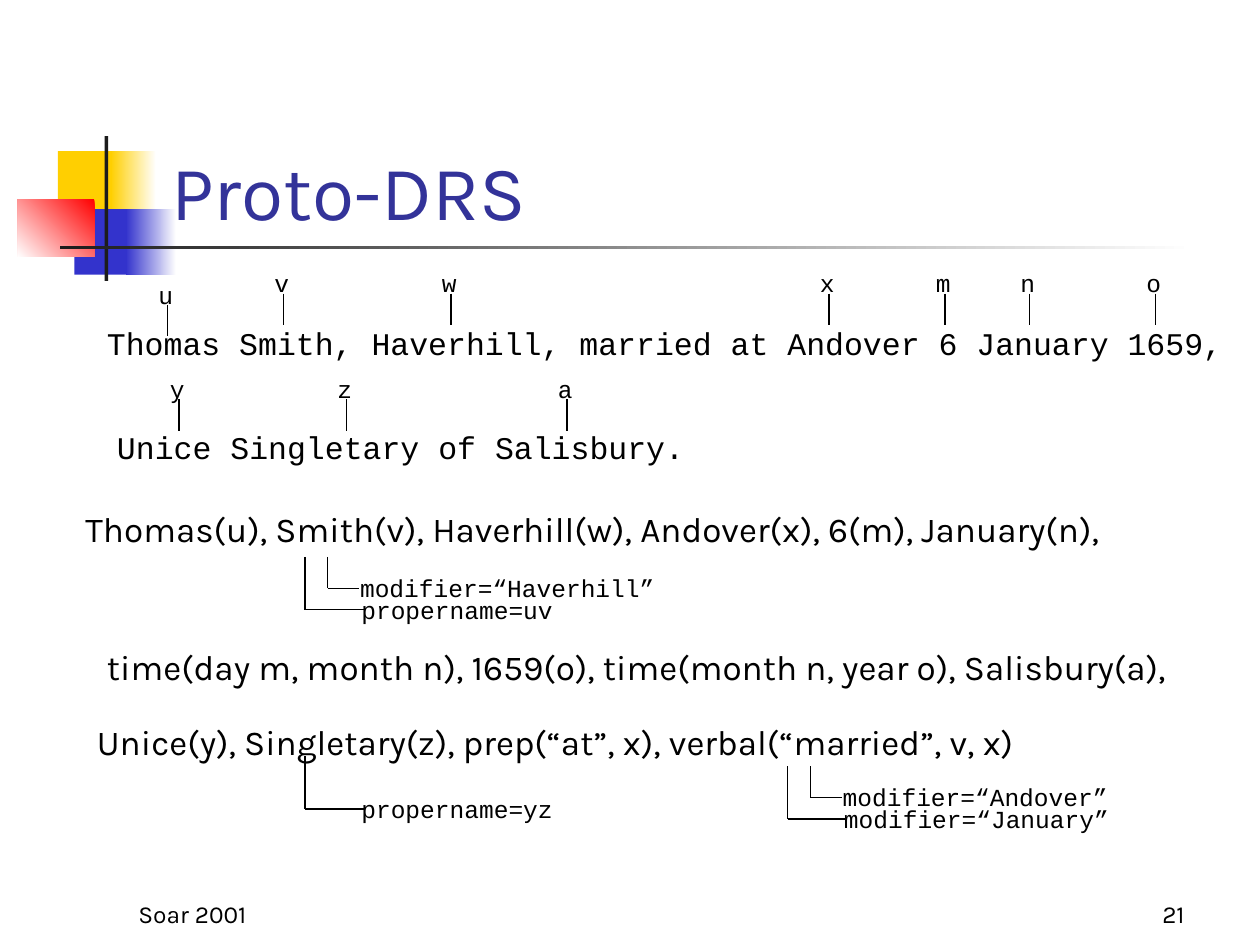
from lxml.etree import SubElement
from pptx import Presentation
from pptx.dml.color import RGBColor
from pptx.enum.shapes import MSO_CONNECTOR as Connector, MSO_SHAPE as Shape
from pptx.enum.text import MSO_ANCHOR as Anchor, PP_ALIGN as Align
from pptx.oxml.ns import qn
from pptx.util import Inches, Pt

COLORS = {
    "black": "000000", "white": "FFFFFF", "title": "333399", "yellow": "FFCF01",
    "blue": "3333CC", "red": "FF0000", "dark": "1C1C1C",
}
SANS, MONO = "Karla", "Courier New"

# left, top, width, height, gradient colours, counter-clockwise angle
ORNAMENTS = [
    (0.46, 1.2, 0.48, 0.52, ["yellow"], 0),
    (0.88, 1.2, 0.36, 0.52, ["white", "yellow"], 180),
    (0.59, 1.66, 0.46, 0.52, ["blue"], 0),
    (1, 1.66, 0.4, 0.52, ["white", "blue"], 180),
    (0.14, 1.58, 0.61, 0.46, ["red", "white"], 225),
    (0.83, 1.08, 0.03, 1.15, ["dark"], 0),
    (0.48, 1.95, 9, 0.03, ["white", "dark"], 180),
]
SENTENCES = [
    (0.75, 2.52, 9.75, "Thomas Smith, Haverhill, married at Andover 6 January 1659,"),
    (0.83, 3.35, 5.92, "Unice Singletary of Salisbury."),
]
VARIABLES = [
    (2.17, [("u", 1.33)]),
    (2.08, [("v", 2.25), ("w", 3.58), ("x", 6.58), ("m", 7.5), ("n", 8.17), ("o", 9.17)]),
    (2.92, [("y", 1.42), ("z", 2.75), ("a", 4.5)]),
]
PREDICATES = [
    (0.58, 3.98, 8.58, "Thomas(u), Smith(v), Haverhill(w), Andover(x), 6(m), January(n),"),
    (0.75, 5.07, 9.25, "time(day m, month n), 1659(o), time(month n, year o), Salisbury(a),"),
    (0.67, 5.67, 8.08, "Unice(y), Singletary(z), prep(“at”, x), verbal(“married”, v, x)"),
]
# left, top, outer label, inner label
BRANCHES = [
    (2.42, 4.42, "propername=uv", "modifier=“Haverhill”"),
    (2.42, 6, "propername=yz", None),
    (6.25, 6.08, "modifier=“January”", "modifier=“Andover”"),
]
# stem offset, drop, reach, label offset
BRANCH_SIZES = [(0, 0.42, 0.47, 0.35), (0.18, 0.25, 0.25, 0.34)]
FOOTERS = [(1, "Soar 2001", Align.LEFT), (7.42, "21", Align.RIGHT)]


def color(name):
    """Return the named colour."""
    return RGBColor.from_string(COLORS[name])


def write(box, text, size, font, ink="black", align=Align.LEFT, anchor=Anchor.TOP):
    """Put one formatted run in a box."""
    frame = box.text_frame
    frame.word_wrap = True
    frame.vertical_anchor = anchor
    para = frame.paragraphs[0]
    para.alignment = align
    span = para.add_run()
    span.text = text
    span.font.size = Pt(size)
    span.font.name = font
    span.font.color.rgb = color(ink)


def add_text(page, left, top, width, height, text, size, font, **style):
    """Add a text box."""
    box = page.shapes.add_textbox(Inches(left), Inches(top), Inches(width), Inches(height))
    write(box, text, size, font, **style)


def add_line(page, left, top, right, bottom):
    """Add a thin black line without shadow."""
    line = page.shapes.add_connector(
        Connector.STRAIGHT, Inches(left), Inches(top), Inches(right), Inches(bottom))
    line.line.width = Pt(0.75)
    line.line.color.rgb = color("black")
    SubElement(line._element.spPr, qn("a:effectLst"))


def add_ornament(page, left, top, width, height, shades, angle):
    """Add a solid or fading rectangle."""
    block = page.shapes.add_shape(
        Shape.RECTANGLE, Inches(left), Inches(top), Inches(width), Inches(height))
    block.shadow.inherit = False
    block.line.fill.background()
    if len(shades) == 1:
        block.fill.solid()
        block.fill.fore_color.rgb = color(shades[0])
        return
    block.fill.gradient()
    block.fill.gradient_angle = angle
    for stop, shade, position in zip(block.fill.gradient_stops, shades, (0, 1)):
        stop.color.rgb = color(shade)
        stop.position = position


def add_branch(page, left, top, label, sizes):
    """Add an elbow of two lines with its label."""
    offset, drop, reach, indent = sizes
    stem, foot = left + offset, top + drop
    add_line(page, stem, top, stem, foot)
    add_line(page, stem, foot, stem + reach, foot)
    add_text(page, left + indent, foot - 0.17, 3.07, 0.34, label, 14, MONO)


def main():
    """Build and save the slide."""
    deck = Presentation()
    deck.slide_width, deck.slide_height = Inches(10), Inches(7.5)
    page = deck.slides.add_slide(deck.slide_layouts[5])

    for ornament in ORNAMENTS:
        add_ornament(page, *ornament)

    title = page.shapes.title
    title.left, title.top = Inches(1.26), Inches(0.67)
    title.width, title.height = Inches(8.52), Inches(1.25)
    write(title, "Proto-DRS", 44, SANS, ink="title", anchor=Anchor.BOTTOM)

    for left, top, width, text in SENTENCES:
        add_text(page, left, top, width, 0.4, text, 18, MONO)
    for top, marks in VARIABLES:
        for name, center in marks:
            add_text(page, center - 0.17, top, 0.5, 0.34, name, 14, MONO)
            add_line(page, center, top + 0.25, center, top + 0.5)

    for left, top, width, text in PREDICATES:
        add_text(page, left, top, width, 0.44, text, 20, SANS)
    for left, top, *labels in BRANCHES:
        for label, sizes in zip(labels, BRANCH_SIZES):
            if label:
                add_branch(page, left, top, label, sizes)

    for left, text, align in FOOTERS:
        add_text(page, left, 6.92, 2.08, 0.5, text, 14, SANS, align=align, anchor=Anchor.BOTTOM)

    deck.save("out.pptx")


if __name__ == "__main__":
    main()
